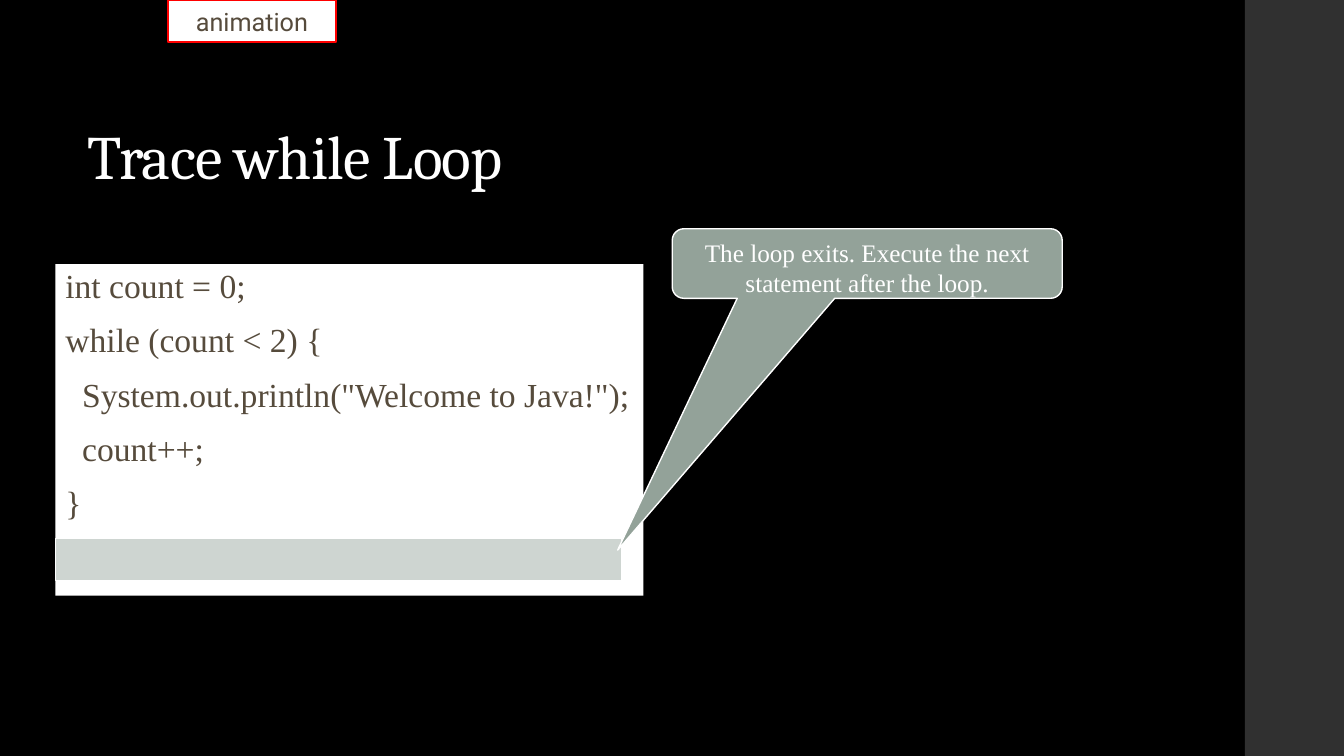
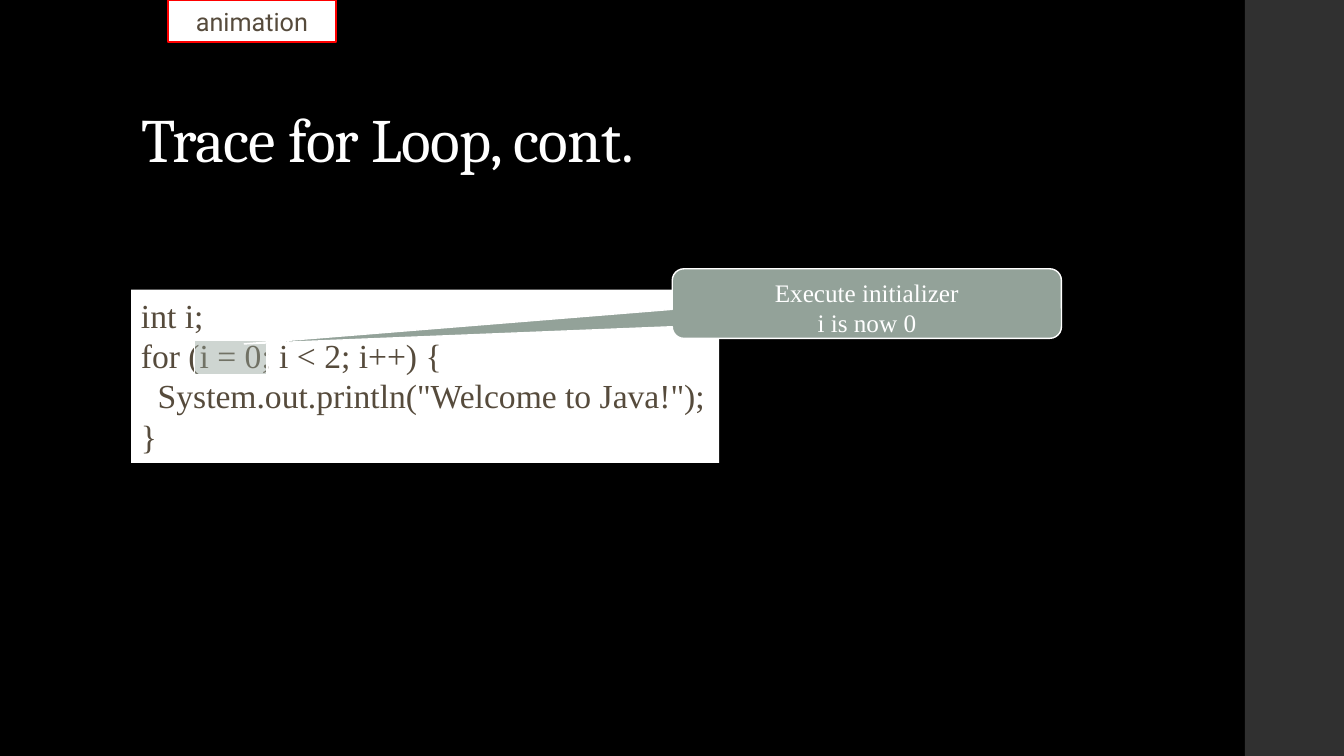
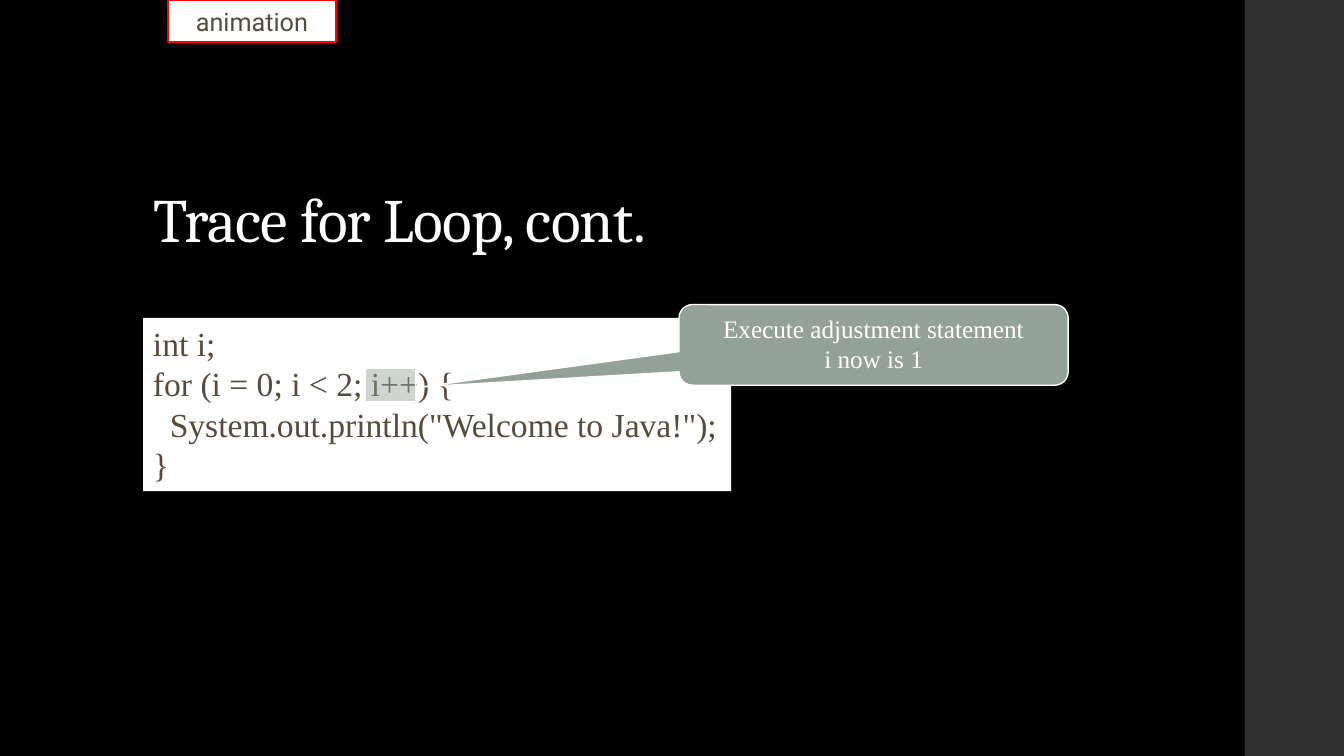
import pptx
import pptx.dml.color
import pptx.enum.shapes
import pptx.enum.text
import pptx.oxml
import pptx.oxml.ns
import pptx.util

Pt = pptx.util.Pt
RGBColor = pptx.dml.color.RGBColor
SHAPE = pptx.enum.shapes.MSO_SHAPE
ALIGN = pptx.enum.text.PP_ALIGN
ANCHOR = pptx.enum.text.MSO_ANCHOR

BLACK = RGBColor(0x00, 0x00, 0x00)
CHARCOAL = RGBColor(0x30, 0x30, 0x30)
WHITE = RGBColor(0xFF, 0xFF, 0xFF)
BROWN = RGBColor(0x56, 0x4B, 0x3C)
SAGE = RGBColor(0x93, 0xA2, 0x99)
RED = RGBColor(0xFF, 0x00, 0x00)

CODE_FONT = "Times New Roman"
CODE_INDENT = 12

FOR_LOOP = [
    (0, "int i;"),
    (0, "for (i = 0; i < 2; i++) {"),
    (1, 'System.out.println("Welcome to Java!");'),
    (0, "}"),
]

# Boxes are left, top, width, height in points; code lines are (level, text)
STEPS = [
    {
        "title": "Trace while Loop",
        "title_at": (55.4, 81.4),
        "code": [
            (0, "int count = 0;"),
            (0, "while (count < 2) {"),
            (1, 'System.out.println("Welcome to Java!");'),
            (1, "count++;"),
            (0, "}"),
        ],
        "code_box": (39.6, 188.6, 420, 236.9),
        "line_spacing": 0.9,
        "space_before": 13,
        "highlight": (39.6, 384.5, 404.6, 30.2),
        "callout": ["The loop exits. Execute the next statement after the loop."],
        "callout_box": (480.2, 163.4, 278.6, 49.7),
        "pointer": (-0.64, 4.12),
    },
    {
        "title": "Trace for Loop, cont.",
        "title_at": (93.6, 69.1),
        "code": FOR_LOOP,
        "code_box": (93.6, 206.9, 420, 123.8),
        "line_spacing": 1.0,
        "space_before": 0,
        "highlight": (139, 242.9, 51.8, 24.5),
        "callout": ["Execute initializer", "i is now 0"],
        "callout_box": (480.2, 192, 278, 49.7),
        "pointer": (-1.6, 0.58),
    },
    {
        "title": "Trace for Loop, cont.",
        "title_at": (102.2, 126.7),
        "code": FOR_LOOP,
        "code_box": (102.2, 227, 420, 123.8),
        "line_spacing": 1.0,
        "space_before": 0,
        "highlight": (261, 262.8, 36, 24.5),
        "callout": ["Execute adjustment statement", "i now is 1"],
        "callout_box": (485, 217.6, 278, 57.6),
        "pointer": (-1.16, 0.52),
    },
]


def add_box(slide, preset, box, fill, line=None):
    shape = slide.shapes.add_shape(preset, *[Pt(length) for length in box])
    shape.shadow.inherit = False
    shape.fill.solid()
    shape.fill.fore_color.rgb = fill
    if line is None:
        shape.line.fill.background()
    else:
        shape.line.color.rgb = line
        shape.line.width = Pt(1)
    shape.text_frame.vertical_anchor = ANCHOR.TOP
    return shape


def add_line(frame, index, text, font, size, color, align):
    paragraph = frame.add_paragraph() if index else frame.paragraphs[0]
    paragraph.alignment = align
    run = paragraph.add_run()
    run.text = text
    run.font.name = font
    run.font.size = Pt(size)
    run.font.color.rgb = color
    return paragraph


deck = pptx.Presentation()
deck.slide_width, deck.slide_height = Pt(960), Pt(540)
backdrop = deck.slide_master.background.fill
backdrop.solid()
backdrop.fore_color.rgb = BLACK

for step in STEPS:
    slide = deck.slides.add_slide(deck.slide_layouts[5])

    # Side band
    add_box(slide, SHAPE.RECTANGLE, (889.2, 0, 70.8, 540), CHARCOAL)

    # Title
    title = slide.shapes.title
    title.left, title.top = [Pt(length) for length in step["title_at"]]
    title.width, title.height = Pt(612), Pt(59.8)
    title.text_frame.vertical_anchor = ANCHOR.BOTTOM
    title.text_frame.auto_size = pptx.enum.text.MSO_AUTO_SIZE.NONE
    heading = add_line(title.text_frame, 0, step["title"], "Cambria", 44, WHITE, ALIGN.LEFT)
    heading.line_spacing = 0.9
    heading.runs[0].font._element.set("spc", "-50")

    # Code listing
    listing = add_box(slide, SHAPE.RECTANGLE, step["code_box"], WHITE)
    for index, (level, text) in enumerate(step["code"]):
        code_line = add_line(listing.text_frame, index, text, CODE_FONT, 24, BROWN, ALIGN.LEFT)
        code_line.line_spacing = step["line_spacing"]
        code_line.space_before = Pt(step["space_before"])
        if level:
            code_line._p.get_or_add_pPr().set("marL", str(Pt(level * CODE_INDENT)))

    # Translucent highlight over the current statement
    highlight = add_box(slide, SHAPE.RECTANGLE, step["highlight"], SAGE, WHITE)
    tint = highlight.fill._xPr.find(".//" + pptx.oxml.ns.qn("a:srgbClr"))
    alpha = pptx.oxml.parse_xml(f'<a:alpha {pptx.oxml.ns.nsdecls("a")} val="45000"/>')
    tint.append(alpha)

    # Explanation callout
    callout = add_box(slide, SHAPE.ROUNDED_RECTANGULAR_CALLOUT, step["callout_box"], SAGE, WHITE)
    callout.adjustments[0], callout.adjustments[1] = step["pointer"]
    for index, text in enumerate(step["callout"]):
        add_line(callout.text_frame, index, text, CODE_FONT, 18, WHITE, ALIGN.CENTER)

    # Animation tag
    tag = add_box(slide, SHAPE.RECTANGLE, (120, 0, 120, 30), WHITE, RED)
    tag.text_frame.vertical_anchor = ANCHOR.MIDDLE
    tag.text_frame.word_wrap = False
    add_line(tag.text_frame, 0, "animation", "Roboto", 18, BROWN, ALIGN.CENTER)

deck.save("out.pptx")
